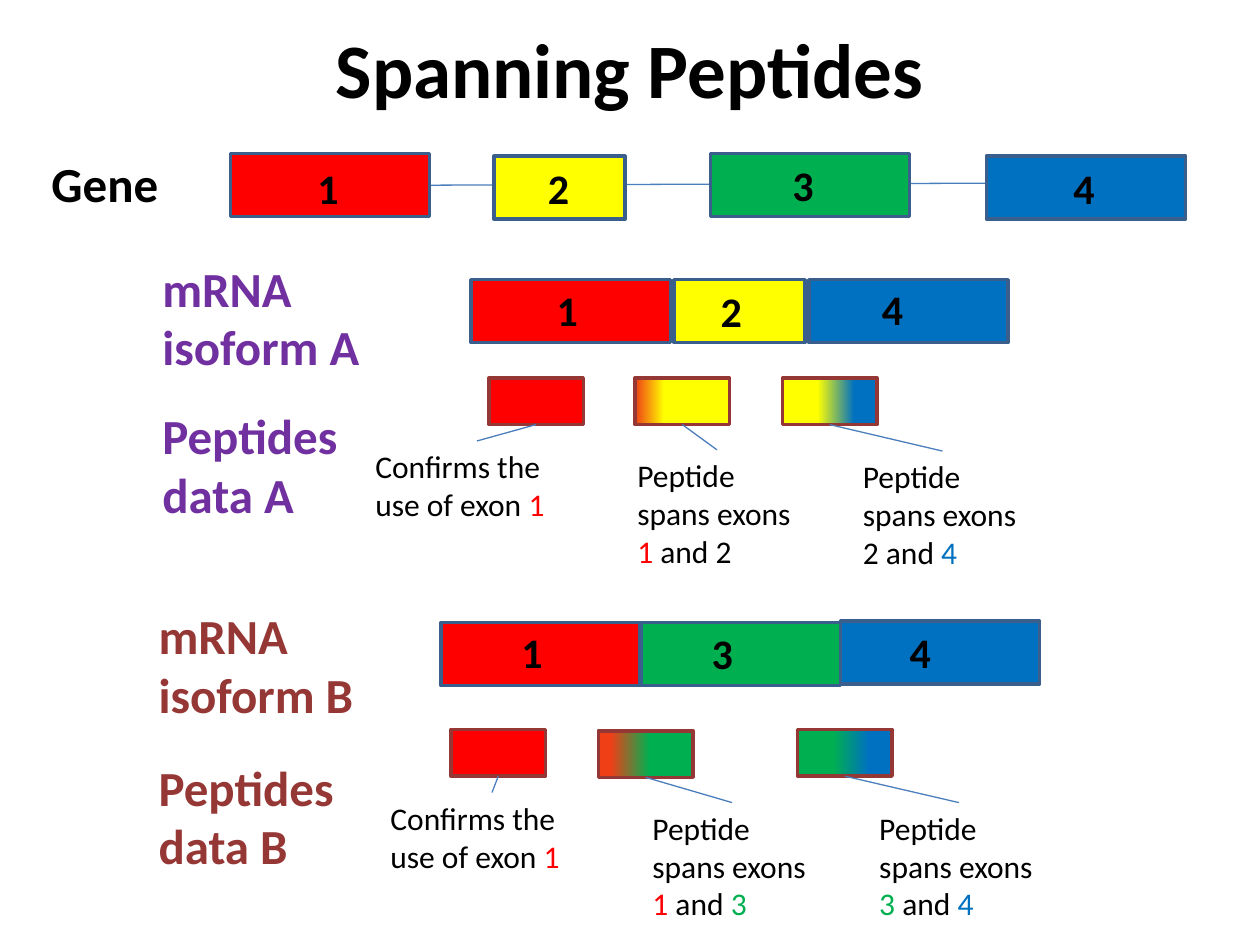
from lxml import etree
from pptx import Presentation
from pptx import util as u
from pptx.dml.color import RGBColor
from pptx.enum import shapes, text
from pptx.oxml import ns

Inches = u.Inches
COLORS = {
    "black": "000000", "purple": "7030A0", "brown": "953735",
    "1": "FF0000", "2": "FFFF00", "3": "00B050", "4": "0070C0",
    "blend": "EE3F17", "exon line": "3A5F8C", "connector": "4B7EBC",
}
EXON_WIDTHS = {"1": 1.58, "2": 1.04, "3": 1.58, "4": 1.58}
EXON_HEIGHT = 0.5
PEPTIDE_WIDTH, PEPTIDE_HEIGHT = 0.75, 0.37


def rgb(name):
    """Return the named colour."""
    return RGBColor.from_string(COLORS[name])


def add_text(slide, box, runs, size, bold=False, align=None, anchor=text.MSO_ANCHOR.TOP):
    """Add one wrapped paragraph made of (text, colour) runs."""
    shape = slide.shapes.add_textbox(*map(Inches, box))
    frame = shape.text_frame
    frame.word_wrap = True
    frame.vertical_anchor = anchor
    paragraph = frame.paragraphs[0]
    paragraph.alignment = align
    paragraph.font.name = "Calibri"
    paragraph.font.size = u.Pt(size)
    paragraph.font.bold = bold
    for words, color in runs:
        run = paragraph.add_run()
        run.text = words
        run.font.color.rgb = rgb(color)


def add_block(slide, box, line, fill, stops=()):
    """Add an outlined rectangle with a solid or two-stop gradient fill."""
    shape = slide.shapes.add_shape(shapes.MSO_SHAPE.RECTANGLE, *map(Inches, box))
    shape.shadow.inherit = False
    shape.line.color.rgb = rgb(line)
    shape.line.width = u.Pt(2)
    if stops:
        shape.fill.gradient()
        shape.fill.gradient_angle = 180
        for stop, (position, color) in zip(shape.fill.gradient_stops, stops):
            stop.position = position
            stop.color.rgb = rgb(color)
    else:
        shape.fill.solid()
        shape.fill.fore_color.rgb = rgb(fill)


def add_line(slide, start, end):
    """Add a thin straight connector."""
    connector = slide.shapes.add_connector(
        shapes.MSO_CONNECTOR.STRAIGHT, *map(Inches, (*start, *end)))
    connector.line.color.rgb = rgb("connector")
    connector.line.width = u.Pt(0.75)
    etree.SubElement(connector._element.spPr, ns.qn("a:effectLst"))


def add_title(slide, box, words):
    """Add the centred slide title."""
    add_text(slide, box, [(words, "black")], 44, True,
             text.PP_ALIGN.CENTER, text.MSO_ANCHOR.MIDDLE)


def add_exon_row(slide, left, top, exons):
    """Add exons given as (number, x, y, number x, number y) from the row corner."""
    for number, x, y, _, _ in exons:
        add_block(slide, (left + x, top + y, EXON_WIDTHS[number], EXON_HEIGHT),
                  "exon line", number)
    for number, _, _, x, y in exons:
        add_text(slide, (left + x, top + y, 0.42, EXON_HEIGHT),
                 [(number, "black")], 24, True)


def add_gene(slide, left, top):
    """Add the gene with its four exons joined by a line."""
    add_line(slide, (left + 3.11, top + 0.3), (left + 8.61, top + 0.28))
    add_text(slide, (left, top, 1.08, 0.57), [("Gene", "black")], 28, True)
    add_exon_row(slide, left, top, [
        ("1", 1.52, 0.05, 2.11, 0.07), ("2", 3.61, 0.07, 3.94, 0.07),
        ("3", 5.33, 0.05, 5.88, 0.05), ("4", 7.52, 0.07, 8.11, 0.07)])


def add_isoform(slide, left, top, name, color, exons):
    """Add a labelled mRNA isoform."""
    add_text(slide, (left, top, 2.22, 1.04), [(f"mRNA isoform {name}", color)], 28, True)
    add_exon_row(slide, left, top, exons)


def add_peptides(slide, left, top, name, color, label_y, peptides):
    """Add peptides given as (x, y, stops, caption box, caption runs)."""
    add_text(slide, (left, top + label_y, 2.22, 1.04),
             [(f"Peptides data {name}", color)], 28, True)
    for x, y, stops, (caption_x, caption_y, width, height), runs in peptides:
        add_block(slide, (left + x, top + y, PEPTIDE_WIDTH, PEPTIDE_HEIGHT),
                  "brown", "1", stops)
        add_line(slide, (left + x + PEPTIDE_WIDTH / 2, top + y + PEPTIDE_HEIGHT),
                 (left + caption_x + width / 2, top + caption_y))
        add_text(slide, (left + caption_x, top + caption_y, width, height), runs, 18)


def confirms():
    """Return the caption of a peptide within exon 1."""
    return [("Confirms the use of exon ", "black"), ("1", "1")]


def spans(first, first_color, second, second_color):
    """Return the caption of a peptide across two exons."""
    return [("Peptide spans exons ", "black"), (first, first_color),
            (" and ", "black"), (second, second_color)]


def main():
    """Build and save the slide."""
    presentation = Presentation()
    presentation.slide_width, presentation.slide_height = Inches(10), Inches(7.5)
    slide = presentation.slides.add_slide(presentation.slide_layouts[6])
    add_title(slide, (0.5, 0, 9, 1.08), "Spanning Peptides")
    add_gene(slide, 0.31, 1.17)
    add_isoform(slide, 1.19, 2, "A", "purple", [
        ("1", 2.55, 0.22, 3.13, 0.21), ("2", 4.16, 0.22, 4.43, 0.22),
        ("4", 5.23, 0.22, 5.71, 0.2)])
    add_peptides(slide, 1.19, 3, "A", "purple", 0.17, [
        (2.69, 0, (), (1.69, 0.5, 1.81, 0.71), confirms()),
        (3.85, 0, ((0.69, "2"), (1, "blend")), (3.77, 0.57, 1.46, 1.01),
         spans("1", "1", "2", "black")),
        (5.02, 0, ((0.24, "4"), (0.63, "2")), (5.56, 0.58, 1.46, 1.01),
         spans("2", "black", "4", "4"))])
    add_peptides(slide, 1.16, 5.79, "B", "brown", 0.17, [
        (2.42, 0, (), (1.84, 0.5, 1.81, 0.71), confirms()),
        (3.59, 0.01, ((0.46, "3"), (0.87, "blend")), (3.92, 0.58, 1.46, 1.01),
         spans("1", "1", "3", "3")),
        (5.17, 0, ((0.24, "4"), (0.63, "3")), (5.72, 0.58, 1.46, 1.01),
         spans("3", "3", "4", "4"))])
    add_isoform(slide, 1.16, 4.76, "B", "brown", [
        ("1", 2.34, 0.18, 2.88, 0.16), ("4", 5.51, 0.17, 5.96, 0.16),
        ("3", 3.93, 0.18, 4.39, 0.17)])
    presentation.save("out.pptx")


if __name__ == "__main__":
    main()
